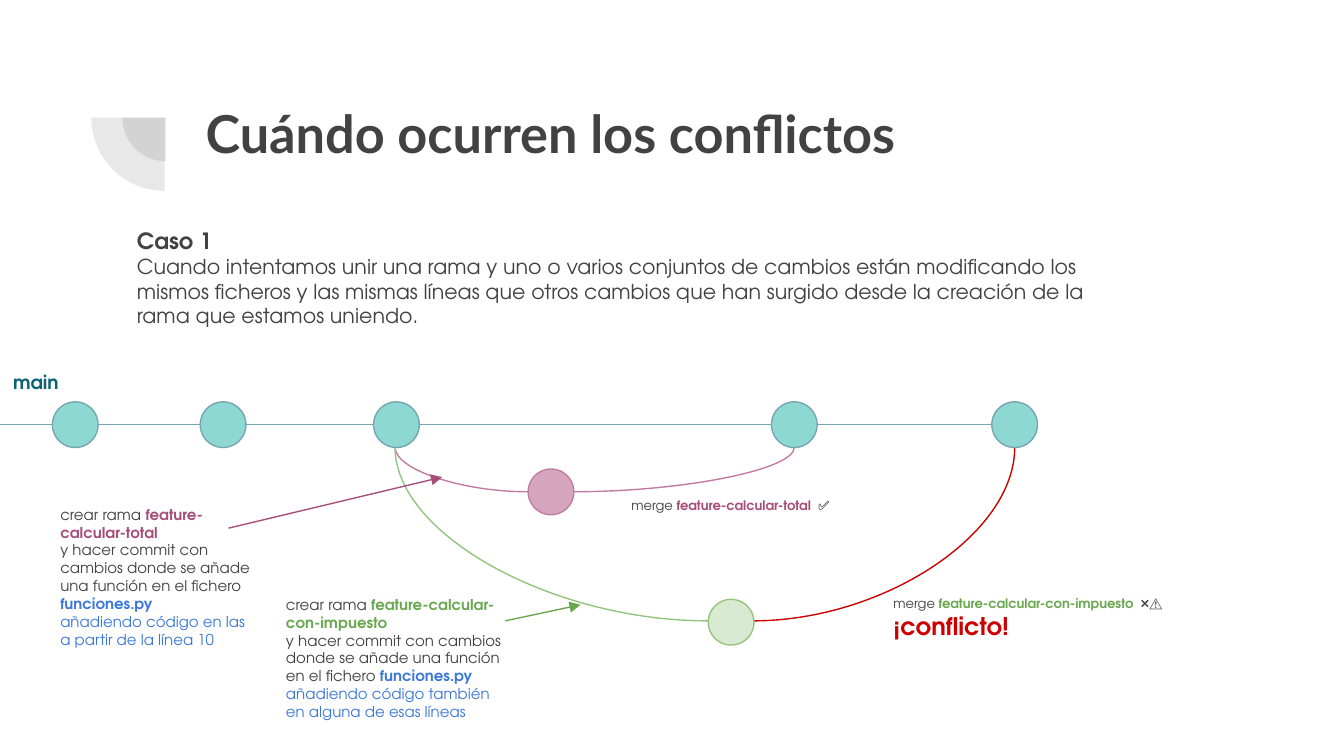
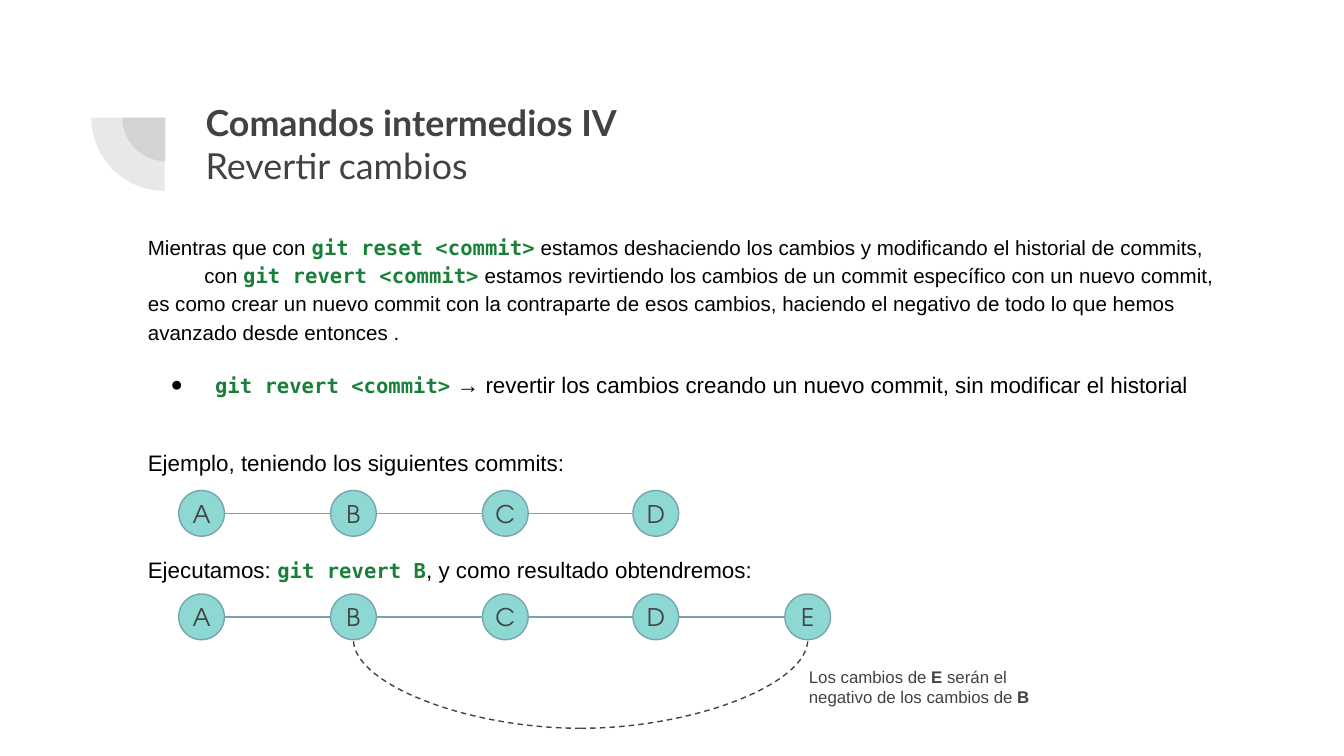
from pptx import Presentation
from pptx.dml.color import RGBColor
from pptx.enum.dml import MSO_LINE
from pptx.enum.shapes import MSO_CONNECTOR, MSO_SHAPE
from pptx.enum.text import MSO_ANCHOR, MSO_AUTO_SIZE, PP_ALIGN
from pptx.oxml.ns import qn
from pptx.util import Emu, Pt
from lxml import etree

STRAIGHT, CURVE = MSO_CONNECTOR.STRAIGHT, MSO_CONNECTOR.CURVE
ELLIPSE, PIE = MSO_SHAPE.OVAL, MSO_SHAPE.PIE
LEFT, CENTER = PP_ALIGN.LEFT, PP_ALIGN.CENTER
TOP, MIDDLE = MSO_ANCHOR.TOP, MSO_ANCHOR.MIDDLE
NO_FIT, DASH = MSO_AUTO_SIZE.NONE, MSO_LINE.DASH

# Shared look: 100 px to the inch, pages 16 by 9
SCALE = 9144
PAGE_WIDTH = 1000
NODE, RADIUS = 34, 17
INK, BLACK, BLUE, RED = "424242", "000000", "3C78D8", "CC0000"
TEAL, TEAL_EDGE, MAIN_INK = "8DD8D3", "76A5AF", "0B6374"
PINK, PINK_EDGE, PINK_INK = "D5A6BD", "C27BA0", "A64D79"
GREEN, GREEN_EDGE, GREEN_INK = "D9EAD3", "93C47D", "6AA84F"
HEADING = {"name": "Lato", "size": 28, "color": INK, "bold": True}
LABEL = {"name": "TeX Gyre Adventor", "size": 8, "color": INK, "bold": False}
PROSE = {"name": "Arial", "size": 12, "color": BLACK, "bold": False}
CODE = {"name": "DejaVu Sans Mono", "size": 11, "color": "188038", "bold": True}
SMALL = {"size": 11}
PINK_BOLD = {"color": PINK_INK, "bold": True}
GREEN_BOLD = {"color": GREEN_INK, "bold": True}
BLUE_BOLD = {"color": BLUE, "bold": True}


def px(length):
    return Emu(length * SCALE)


def rgb(value):
    return RGBColor.from_string(value)


def set_all(target, values):
    for name, value in values.items():
        setattr(target, name, value)


def add_spans(para, spans, style):
    """Each span is plain text or (text, changes to the style)."""
    for item in spans:
        text, changes = (item, {}) if isinstance(item, str) else item
        look = {**style, **changes}
        span = para.add_run()
        span.text = text
        set_all(span.font, {"name": look["name"], "size": Pt(look["size"]),
                            "bold": look["bold"]})
        span.font.color.rgb = rgb(look["color"])


def write(frame, paras, style, inset=10, anchor=TOP, wrap=True, **para_format):
    set_all(frame, {"word_wrap": wrap, "auto_size": NO_FIT,
                    "vertical_anchor": anchor, "margin_left": px(inset),
                    "margin_right": px(inset), "margin_top": px(inset),
                    "margin_bottom": px(inset)})
    for index, spans in enumerate(paras):
        para = frame.add_paragraph() if index else frame.paragraphs[0]
        set_all(para, {"alignment": LEFT, "space_before": Pt(0), **para_format})
        add_spans(para, spans, style)


def place(shape, left, top, width, height):
    set_all(shape, {"left": px(left), "top": px(top),
                    "width": px(width), "height": px(height)})


def add_label(page, at, paras, style=LABEL):
    box = page.shapes.add_textbox(*map(px, at))
    write(box.text_frame, paras, style)


def indent(para, margin, first, bullet=None):
    props = para._p.get_or_add_pPr()
    props.set("marL", str(px(margin)))
    props.set("indent", str(px(first)))
    if bullet:
        color = etree.SubElement(props, qn("a:buClr"))
        etree.SubElement(color, qn("a:srgbClr"), val=BLACK)
        etree.SubElement(props, qn("a:buChar"), char=bullet)
    else:
        etree.SubElement(props, qn("a:buNone"))


def add_page(deck, layout, title, size):
    page = deck.slides.add_slide(deck.slide_layouts[layout])
    # Corner ornament: two translucent quarter discs
    for left, top, side in ((91, 55, 65), (68, 33, 109)):
        quarter = page.shapes.add_shape(PIE, *map(px, (left, top, side, side)))
        quarter.adjustments[0], quarter.adjustments[1] = 108, 162
        quarter.rotation = 270
        quarter.shadow.inherit = False
        quarter.line.fill.background()
        quarter.fill.solid()
        quarter.fill.fore_color.rgb = rgb(INK)
        color = quarter._element.spPr.find(qn("a:solidFill"))[0]
        etree.SubElement(color, qn("a:alpha"), val="12000")
    place(page.shapes.title, 143, 65, 769, 109)
    write(page.shapes.title.text_frame, title, {**HEADING, "size": size})
    return page


def add_node(page, left, top, fill=TEAL, edge=TEAL_EDGE, letter=None):
    node = page.shapes.add_shape(ELLIPSE, *map(px, (left, top, NODE, NODE)))
    node.shadow.inherit = False
    node.fill.solid()
    node.fill.fore_color.rgb = rgb(fill)
    node.line.color.rgb = rgb(edge)
    node.line.width = Pt(0.75)
    if letter:
        write(node.text_frame, [[letter]], {**LABEL, "size": 13}, inset=0,
              anchor=MIDDLE, wrap=False, alignment=CENTER)


def add_line(page, start, end, color=TEAL_EDGE, kind=STRAIGHT, arrow=False):
    line = page.shapes.add_connector(kind, *map(px, start + end))
    line.line.color.rgb = rgb(color)
    line.line.width = Pt(0.75)
    if arrow:
        etree.SubElement(line.line._get_or_add_ln(), qn("a:tailEnd"), type="triangle")
    etree.SubElement(line._element.spPr, qn("a:effectLst"))
    return line


def add_curve(page, start, end, color):
    """A quarter bend that leaves sideways and arrives upright."""
    curve = add_line(page, start, end, color, CURVE)
    curve._element.spPr.find(qn("a:prstGeom")).set("prst", "curvedConnector2")
    return curve


def add_chain(page, lefts, top, letters=None):
    for left, following in zip(lefts, lefts[1:]):
        add_line(page, (left + NODE, top + RADIUS), (following, top + RADIUS))
    for index, left in enumerate(lefts):
        add_node(page, left, top, letter=letters[index] if letters else None)


def branch_note(branch, look, ending):
    return [["crear rama ", (branch, look)],
            ["y hacer commit con cambios donde se añade una función en el fichero ",
             ("funciones.py", BLUE_BOLD)],
            [(ending, {"color": BLUE})]]


def build_conflicts(deck):
    page = add_page(deck, 5, [["Cuándo ocurren los conflictos"]], 28)
    add_label(page, (92, 159, 751, 132), [
        [("Caso 1", {"size": 12, "bold": True})],
        ["Cuando intentamos unir una rama y uno o varios conjuntos de cambios están "
         "modificando los mismos ficheros y las mismas líneas que otros cambios que han "
         "surgido desde la creación de la rama que estamos uniendo."]],
        {**LABEL, **SMALL})

    # Branches, drawn from their commit back to main and on to the merge
    fork = (294, 333)
    add_curve(page, (393, 366), fork, PINK_EDGE)
    add_curve(page, (426, 366), (591, 333), PINK_EDGE)
    add_curve(page, (527, 462), fork, GREEN_EDGE)
    add_curve(page, (560, 462), (755, 333), RED)
    add_node(page, 393, 349, PINK, PINK_EDGE)
    add_node(page, 527, 446, GREEN, GREEN_EDGE)

    # Main branch
    add_line(page, (0, 316), (39, 316))
    add_chain(page, (39, 149, 278, 574, 738), 299)
    add_label(page, (0, 266, 99, 38),
              [[("main", {"size": 10, "color": MAIN_INK, "bold": True})]])

    # Notes and their arrows
    add_label(page, (35, 366, 168, 132), branch_note(
        "feature-calcular-total", PINK_BOLD,
        "añadiendo código en las a partir de la línea 10"))
    add_label(page, (203, 433, 183, 132), branch_note(
        "feature-calcular-con-impuesto", GREEN_BOLD,
        "añadiendo código también en alguna de esas líneas"))
    add_line(page, (170, 393), (329, 355), PINK_INK, arrow=True)
    add_line(page, (376, 462), (432, 450), GREEN_INK, arrow=True)

    # Merge results
    merge = {**LABEL, "size": 7}
    add_label(page, (460, 360, 168, 34),
              [["merge ", ("feature-calcular-total ", PINK_BOLD), " ✅"]], merge)
    add_label(page, (655, 433, 320, 75), [
        ["merge ", ("feature-calcular-con-impuesto ", GREEN_BOLD), " ❌⚠️"],
        [("¡conflicto!", {"size": 13, "color": RED, "bold": True})]], merge)


def build_revert(deck):
    page = add_page(deck, 1, [["Comandos intermedios IV"],
                              [("Revertir cambios", {"bold": False})]], 19.2)
    body = page.placeholders[1]
    place(body, 100, 162, 825, 365)
    write(body.text_frame, [
        [("Mientras que con ", SMALL), ("git reset <commit>", CODE),
         (" estamos deshaciendo los cambios y modificando el historial de commits,", SMALL)],
        [("con ", SMALL), ("git revert <commit>", CODE),
         (" estamos revirtiendo los cambios de un commit específico con un nuevo commit, "
          "es como crear un nuevo commit con la contraparte de esos cambios, haciendo el "
          "negativo de todo lo que hemos avanzado desde entonces .", SMALL)],
        [("git revert <commit>", CODE),
         " → revertir los cambios creando un nuevo commit, sin modificar el historial"],
        ["Ejemplo, teniendo los siguientes commits:"],
        ["Ejecutamos: ", ("git revert B", CODE), ", y como resultado obtendremos:"]],
        PROSE, line_spacing=1.15)
    # Space before, left margin, first-line indent and bullet of each paragraph
    layout = ((12, 0, 0, None), (0, 0, 42, None), (12, 50, -33, "●"),
              (25.5, 0, 0, None), (40.5, 0, 0, None))
    for para, (before, margin, first, bullet) in zip(body.text_frame.paragraphs, layout):
        para.space_before = Pt(before)
        indent(para, margin, first, bullet)

    # Commits before and after the revert
    lefts = [133 + round(index * 451 / 4) for index in range(5)]
    add_chain(page, lefts[:4], 365, "ABCD")
    add_chain(page, lefts, 442, "ABCDE")

    # Dashed arc from B to E
    for left in (lefts[1], lefts[4]):
        arc = add_curve(page, (432, 542), (left + RADIUS, 476), INK)
        arc.line.dash_style = DASH
    add_label(page, (592, 486, 212, 55), [
        ["Los cambios de", (" E", {"bold": True}),
         " serán el negativo de los cambios de ", ("B", {"bold": True})]],
        {**PROSE, "size": 9, "color": INK})


def main():
    deck = Presentation()
    width = px(PAGE_WIDTH)
    set_all(deck, {"slide_width": width, "slide_height": Emu(width * 9 // 16)})
    build_conflicts(deck)
    build_revert(deck)
    deck.save("out.pptx")


if __name__ == "__main__":
    main()
